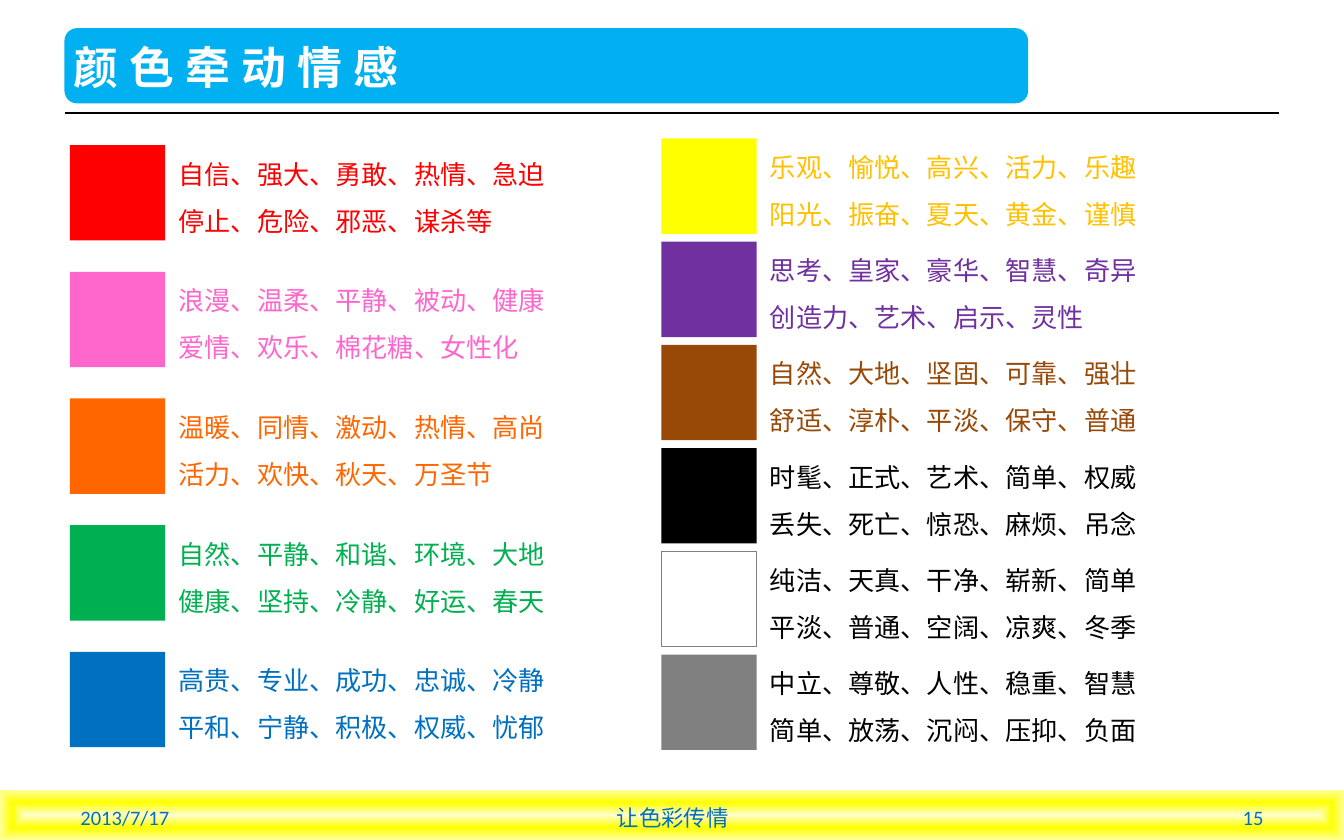
from pptx import Presentation
from pptx.dml.color import RGBColor
from pptx.enum.shapes import MSO_CONNECTOR, MSO_SHAPE
from pptx.enum.text import MSO_ANCHOR, MSO_AUTO_SIZE, PP_ALIGN
from pptx.oxml import parse_xml
from pptx.oxml.ns import nsdecls, qn
from pptx.util import Inches, Pt
from lxml.etree import SubElement

WHITE = RGBColor(0xFF, 0xFF, 0xFF)
BLACK = RGBColor(0x00, 0x00, 0x00)
GRAY = RGBColor(0x80, 0x80, 0x80)
SKY = RGBColor(0x00, 0xB0, 0xF0)
RED = RGBColor(0xFF, 0x00, 0x00)
PINK = RGBColor(0xFF, 0x66, 0xCC)
ORANGE = RGBColor(0xFF, 0x66, 0x00)
GREEN = RGBColor(0x00, 0xB0, 0x50)
BLUE = RGBColor(0x00, 0x70, 0xC0)
YELLOW = RGBColor(0xFF, 0xFF, 0x00)
GOLD = RGBColor(0xFF, 0xC0, 0x00)
PURPLE = RGBColor(0x70, 0x30, 0xA0)
BROWN = RGBColor(0x98, 0x48, 0x07)
CREAM = RGBColor(0xFF, 0xFF, 0xCC)
LEMON = RGBColor(0xFF, 0xFF, 0x99)

LATIN = "Calibri"
HAN = "Noto Sans CJK SC"
SIDE = 0.71

LEFT = [
    (RED, RED, "自信、强大、勇敢、热情、急迫\n停止、危险、邪恶、谋杀等"),
    (PINK, PINK, "浪漫、温柔、平静、被动、健康\n爱情、欢乐、棉花糖、女性化"),
    (ORANGE, ORANGE, "温暖、同情、激动、热情、高尚\n活力、欢快、秋天、万圣节"),
    (GREEN, GREEN, "自然、平静、和谐、环境、大地\n健康、坚持、冷静、好运、春天"),
    (BLUE, BLUE, "高贵、专业、成功、忠诚、冷静\n平和、宁静、积极、权威、忧郁"),
]
RIGHT = [
    (YELLOW, GOLD, "乐观、愉悦、高兴、活力、乐趣\n阳光、振奋、夏天、黄金、谨慎"),
    (PURPLE, PURPLE, "思考、皇家、豪华、智慧、奇异\n创造力、艺术、启示、灵性"),
    (BROWN, BROWN, "自然、大地、坚固、可靠、强壮\n舒适、淳朴、平淡、保守、普通"),
    (BLACK, BLACK, "时髦、正式、艺术、简单、权威\n丢失、死亡、惊恐、麻烦、吊念"),
    (WHITE, BLACK, "纯洁、天真、干净、崭新、简单\n平淡、普通、空阔、凉爽、冬季"),
    (GRAY, BLACK, "中立、尊敬、人性、稳重、智慧\n简单、放荡、沉闷、压抑、负面"),
]


def style(frame, size, color, font=HAN, align=PP_ALIGN.LEFT, space=1.0):
    """Format every paragraph and run of a text frame."""
    for para in frame.paragraphs:
        para.alignment = align
        para.line_spacing = space
        for run in para.runs:
            run.font.size = Pt(size)
            run.font.name = font
            run.font.color.rgb = color
            SubElement(run.font._element, qn("a:ea"), typeface=font)


def block(shapes, kind, box, color):
    """Add a plain filled shape without outline or shadow."""
    shape = shapes.add_shape(kind, *map(Inches, box))
    shape.shadow.inherit = False
    shape.fill.solid()
    shape.fill.fore_color.rgb = color
    shape.line.fill.background()
    return shape


def header(slide, box, text):
    """Place the title on its rounded banner, with a rule below."""
    left, top, width, height = box
    block(slide.shapes, MSO_SHAPE.ROUNDED_RECTANGLE, (left, top, 7.17, height), SKY)
    level = Inches(top + height + 0.07)
    rule = slide.shapes.add_connector(
        MSO_CONNECTOR.STRAIGHT, Inches(left), level, Inches(left + width), level)
    rule.line.color.rgb = BLACK
    rule.line.width = Pt(0.75)
    SubElement(rule.element.spPr, qn("a:effectLst"))

    title = slide.shapes.title
    title.left, title.top = Inches(left - 0.03), Inches(top + 0.01)
    title.width, title.height = Inches(6.96), Inches(0.55)
    frame = title.text_frame
    frame.text = text
    frame.auto_size = MSO_AUTO_SIZE.NONE
    frame.vertical_anchor = MSO_ANCHOR.MIDDLE
    style(frame, 24, WHITE)
    font = frame.paragraphs[0].runs[0].font
    font.bold = True
    font._element.set("spc", "600")
    title.element.getparent().append(title.element)


def footer(slide, box):
    """Draw the glowing footer band with date, topic and page number."""
    band = block(slide.shapes, MSO_SHAPE.RECTANGLE, box, YELLOW)
    stops = "".join(
        f'<a:gs pos="{pos}"><a:srgbClr val="{color}"/></a:gs>'
        for pos, color in ((0, CREAM), (50000, YELLOW), (100000, LEMON)))
    glow = parse_xml(
        f'<a:gradFill {nsdecls("a")} rotWithShape="1"><a:gsLst>{stops}</a:gsLst>'
        '<a:path path="shape"><a:fillToRect l="50000" t="50000" r="50000" b="50000"/>'
        '</a:path></a:gradFill>')
    props = band.element.spPr
    props.replace(props.find(qn("a:solidFill")), glow)

    left, top = box[:2]
    parts = [
        (0.5, 2.33, "2013/7/17", 11, LATIN, PP_ALIGN.LEFT),
        (3.42, 3.17, "让色彩传情", 12, HAN, PP_ALIGN.CENTER),
        (7.17, 2.33, "15", 11, LATIN, PP_ALIGN.RIGHT),
    ]
    for shift, width, text, size, font, align in parts:
        label = slide.shapes.add_textbox(
            Inches(left + shift), Inches(top + 0.04), Inches(width), Inches(0.33))
        frame = label.text_frame
        frame.word_wrap = True
        frame.vertical_anchor = MSO_ANCHOR.MIDDLE
        frame.text = text
        style(frame, size, BLUE, font, align)


def swatch(slide, left, top, color, ink, words):
    """Group a colour square with the feelings it stirs."""
    group = slide.shapes.add_group_shape()
    square = block(group.shapes, MSO_SHAPE.RECTANGLE, (left, top, SIDE, SIDE), color)
    if color == WHITE:
        square.line.color.rgb = GRAY
        square.line.width = Pt(0.25)
    note = group.shapes.add_textbox(
        Inches(left + SIDE), Inches(top - 0.07), Inches(2.95), Inches(0.81))
    frame = note.text_frame
    frame.word_wrap = False
    frame.auto_size = MSO_AUTO_SIZE.SHAPE_TO_FIT_TEXT
    frame.text = words
    style(frame, 14, ink, space=1.5)


def column(slide, box, rows):
    """Spread swatches evenly down a box."""
    left, top, height = box
    step = (height - SIDE) / (len(rows) - 1)
    for index, row in enumerate(rows):
        swatch(slide, left, top + index * step, *row)


def main():
    """Build the slide and save it."""
    deck = Presentation()
    deck.slide_width, deck.slide_height = Inches(10), Inches(6.25)
    slide = deck.slides.add_slide(deck.slide_layouts[5])
    header(slide, (0.48, 0.21, 9.04, 0.56), "颜色牵动情感")
    footer(slide, (0, 5.88, 10, 0.37))
    column(slide, (0.52, 1.08, 4.48), LEFT)
    column(slide, (4.92, 1.03, 4.55), RIGHT)
    deck.save("out.pptx")


if __name__ == "__main__":
    main()
